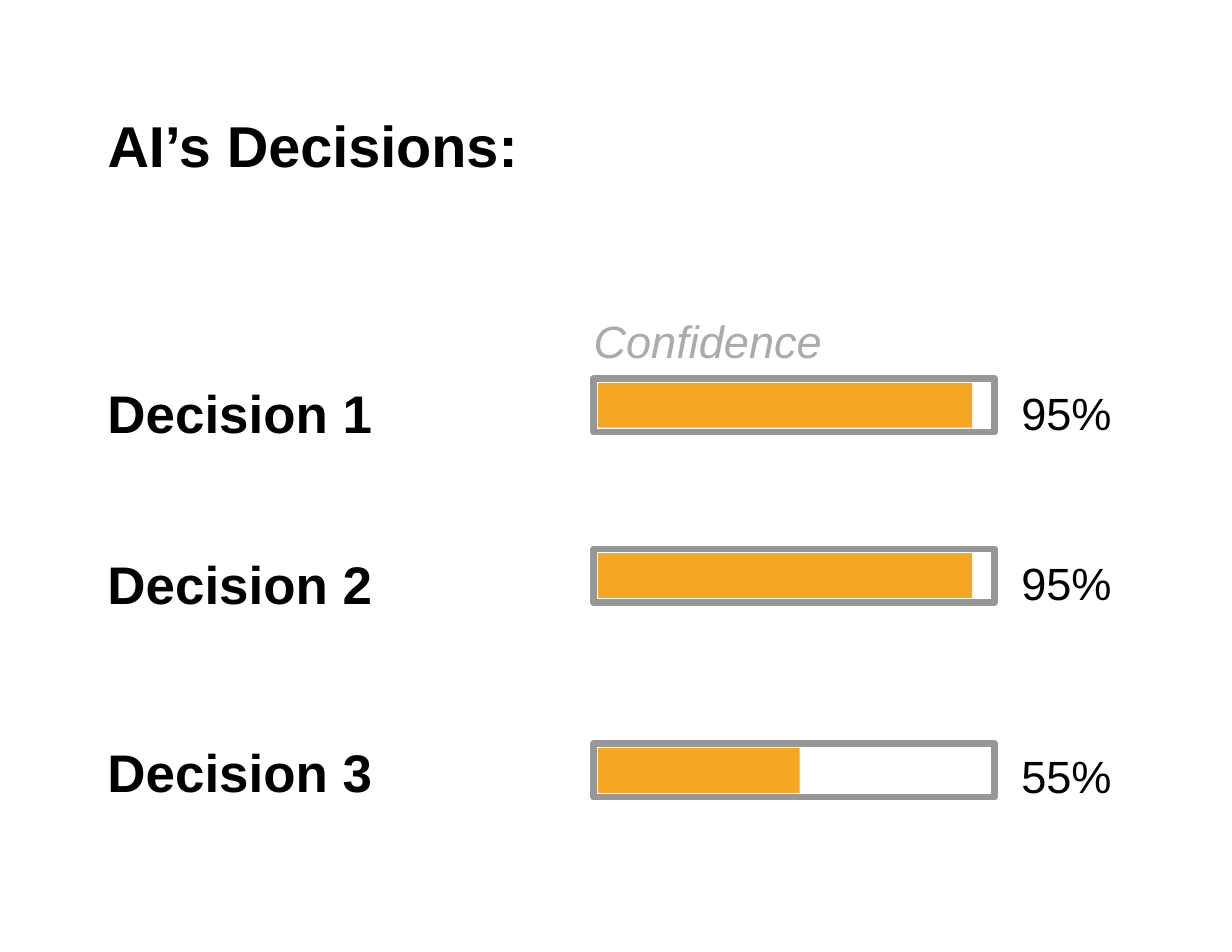
from dataclasses import dataclass
from pptx import Presentation
from pptx.dml.color import RGBColor
from pptx.enum.shapes import MSO_SHAPE as Preset
from pptx.enum.text import MSO_ANCHOR as Anchor, MSO_AUTO_SIZE as AutoSize, PP_ALIGN as Align
from pptx.util import Inches, Pt


@dataclass(frozen=True)
class Theme:
    font: str = "Arial"
    ink: RGBColor = RGBColor(0x00, 0x00, 0x00)
    muted: RGBColor = RGBColor(0xAB, 0xAB, 0xAB)
    frame: RGBColor = RGBColor(0x97, 0x97, 0x97)
    level: RGBColor = RGBColor(0xF5, 0xA6, 0x23)
    title_size: Pt = Pt(18.5)
    decision_size: Pt = Pt(17)
    confidence_size: Pt = Pt(14.5)
    frame_width: Pt = Pt(2)


THEME = Theme()
DECISIONS = [
    ("Decision 1", 1.66, 1.69, 1.70, 1.67, "95%"),
    ("Decision 2", 2.42, 2.45, 2.46, 1.67, "95%"),
    ("Decision 3", 3.26, 3.32, 3.32, 0.90, "55%"),
]


def write_text(holder, box, text, size, inset=0.02, color=THEME.ink, bold=False, italic=False):
    holder.left, holder.top, holder.width, holder.height = map(Inches, box)
    frame = holder.text_frame
    frame.text = text
    frame.word_wrap = True
    frame.auto_size = AutoSize.NONE
    frame.vertical_anchor = Anchor.TOP
    frame.margin_left, frame.margin_top = Inches(0.01), Inches(inset)
    frame.margin_right = frame.margin_bottom = 0
    line = frame.paragraphs[0]
    line.alignment = Align.LEFT
    line.font.name, line.font.size = THEME.font, size
    line.font.bold, line.font.italic = bold, italic
    line.font.color.rgb = color


def add_label(slide, box, text, size, **style):
    write_text(slide.shapes.add_textbox(*map(Inches, box)), box, text, size, **style)


def add_bar(slide, left, top, level_width):
    outline = slide.shapes.add_shape(
        Preset.RECTANGLE, Inches(left), Inches(top), Inches(1.79), Inches(0.24))
    outline.shadow.inherit = False
    outline.fill.background()
    outline.line.color.rgb = THEME.frame
    outline.line.width = THEME.frame_width
    level = slide.shapes.add_shape(
        Preset.RECTANGLE, Inches(left + 0.02), Inches(top + 0.02), Inches(level_width), Inches(0.2))
    level.shadow.inherit = False
    level.fill.solid()
    level.fill.fore_color.rgb = THEME.level
    level.line.fill.background()


def add_decision(slide, name, name_top, bar_top, percent_top, level_width, percent):
    add_label(slide, (0.47, name_top, 1.23, 0.32), name, THEME.decision_size, inset=0.04, bold=True)
    add_bar(slide, 2.65, bar_top, level_width)
    add_label(slide, (4.55, percent_top, 0.43, 0.27), percent, THEME.confidence_size)


def main():
    """Build the slide of decisions with their confidence bars."""
    deck = Presentation()
    deck.slide_width, deck.slide_height = Inches(5.5), Inches(4.25)
    slide = deck.slides.add_slide(deck.slide_layouts.get_by_name("Title Only"))
    write_text(slide.shapes.title, (0.47, 0.45, 1.89, 0.34), "AI’s Decisions:",
               THEME.title_size, inset=0.04, bold=True)
    add_label(slide, (2.64, 1.38, 1.04, 0.27), "Confidence", THEME.confidence_size,
              color=THEME.muted, italic=True)
    for decision in DECISIONS:
        add_decision(slide, *decision)
    deck.save("out.pptx")


if __name__ == "__main__":
    main()
